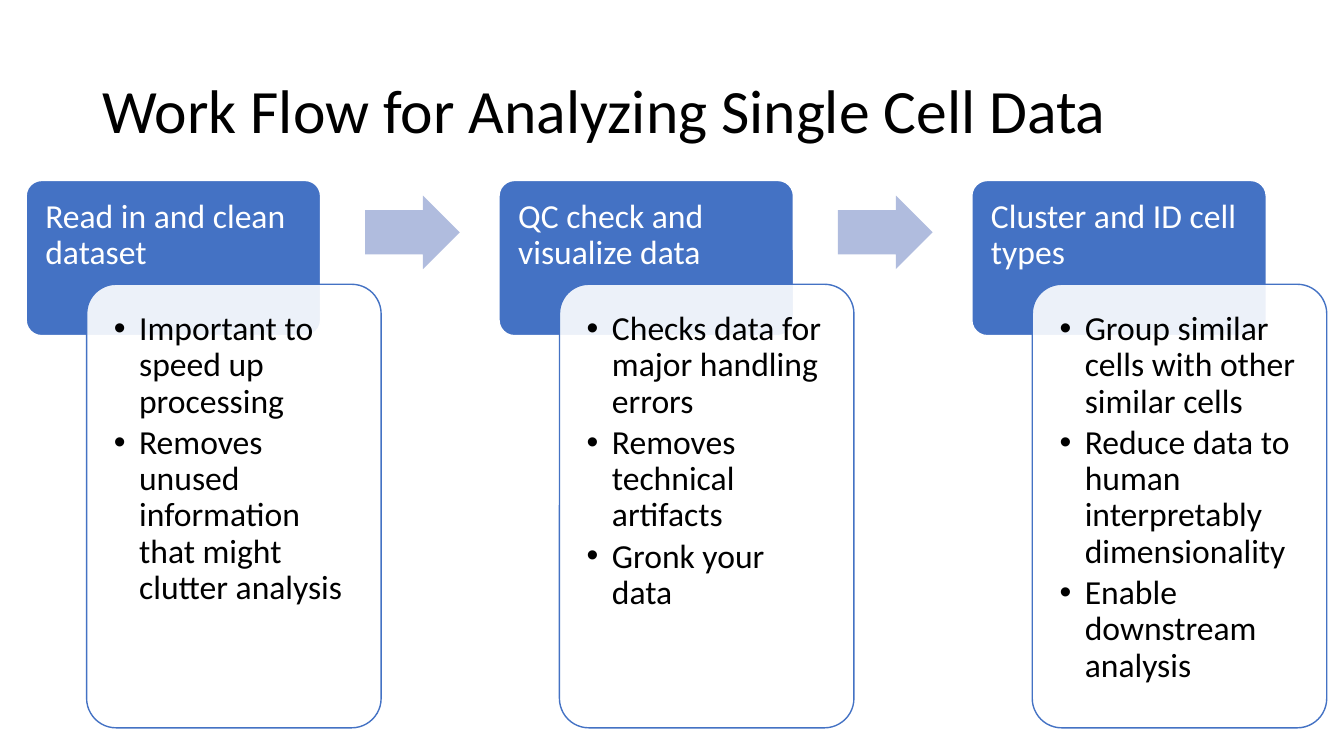
from dataclasses import dataclass, replace

from lxml import etree
from pptx import Presentation, util as u
from pptx.dml.color import RGBColor
from pptx.enum import shapes, text
from pptx.oxml import ns

COLOURS = {"black": "000000", "white": "FFFFFF", "blue": "4472C4", "arrow": "B0BCDE"}
FONT = "Calibri"
SLIDE_WIDTH, SLIDE_HEIGHT = u.Inches(13.33), u.Inches(7.5)


@dataclass(frozen=True)
class Area:
    """A rectangle in percent of the slide's width and height."""
    left: float
    top: float
    width: float
    height: float

    def in_column(self, column: int) -> "Area":
        return replace(self, left=self.left + column * COLUMN_PITCH)

    def box(self) -> tuple[int, int, int, int]:
        return (round(self.left * SLIDE_WIDTH / 100), round(self.top * SLIDE_HEIGHT / 100),
                round(self.width * SLIDE_WIDTH / 100), round(self.height * SLIDE_HEIGHT / 100))


@dataclass(frozen=True)
class Step:
    heading: str
    details: tuple[str, ...]


COLUMN_PITCH = 35.18
TITLE = Area(6.9, 5.33, 86.27, 19.33)
HEADER = Area(1.95, 23.87, 21.91, 20.53)
HEADER_TEXT = replace(HEADER, height=13.73)
CARD = Area(6.45, 37.6, 21.91, 58.67)
CARD_TEXT = Area(7.05, 38.67, 20.63, 56.4)
ARROW = Area(27.16, 25.87, 7.05, 9.73)

STEPS = (
    Step("Read in and clean dataset", (
        "Important to speed up processing",
        "Removes unused information that might clutter analysis")),
    Step("QC check and visualize data", (
        "Checks data for major handling errors",
        "Removes technical artifacts",
        "Gronk your data")),
    Step("Cluster and ID cell types", (
        "Group similar cells with other similar cells",
        "Reduce data to human interpretably dimensionality",
        "Enable downstream analysis")),
)


def colour(name: str) -> RGBColor:
    return RGBColor.from_string(COLOURS[name])


def add_bullet(paragraph) -> None:
    properties = paragraph._p.get_or_add_pPr()
    properties.set("marL", str(u.Inches(0.25)))
    properties.set("indent", str(-u.Inches(0.25)))
    etree.SubElement(properties, ns.qn("a:buFont"), typeface="Arial")
    etree.SubElement(properties, ns.qn("a:buChar"), char="•")


def add_text(slide, area: Area, *lines: str, size: float = 24, ink: str = "black",
             insets: tuple[float, float, float, float] = (0.19, 0.19, 0.19, 0.19),
             anchor=text.MSO_ANCHOR.TOP, space_after: float = 0, bullets: bool = False) -> None:
    """Insets are left, top, right and bottom, in inches."""
    frame = slide.shapes.add_textbox(*area.box()).text_frame
    frame.word_wrap = True
    frame.vertical_anchor = anchor
    (frame.margin_left, frame.margin_top,
     frame.margin_right, frame.margin_bottom) = map(u.Inches, insets)
    for index, line in enumerate(lines):
        paragraph = frame.add_paragraph() if index else frame.paragraphs[0]
        paragraph.line_spacing = 0.9
        paragraph.space_after = u.Pt(space_after)
        if bullets:
            paragraph.level = 1
            add_bullet(paragraph)
        run = paragraph.add_run()
        run.text = line
        run.font.name = FONT
        run.font.size = u.Pt(size)
        run.font.color.rgb = colour(ink)


def add_block(slide, kind, area: Area, fill: str, adjustments: tuple[float, ...],
              line: str | None = None, opacity: int = 100) -> None:
    shape = slide.shapes.add_shape(kind, *area.box())
    shape.shadow.inherit = False
    for index, value in enumerate(adjustments):
        shape.adjustments[index] = value
    shape.fill.solid()
    shape.fill.fore_color.rgb = colour(fill)
    if opacity < 100:
        fill_colour = shape._element.spPr.find(ns.qn("a:solidFill"))[0]
        etree.SubElement(fill_colour, ns.qn("a:alpha"), val=str(opacity * 1000))
    if line:
        shape.line.color.rgb = colour(line)
        shape.line.width = u.Pt(1)
    else:
        shape.line.fill.background()


def add_step(slide, column: int, step: Step) -> None:
    rounded = shapes.MSO_SHAPE.ROUNDED_RECTANGLE
    add_block(slide, rounded, HEADER.in_column(column), "blue", (0.1,), line="white")
    add_text(slide, HEADER_TEXT.in_column(column), step.heading, ink="white",
             insets=(0.19, 0.19, 0.19, 0.1), space_after=8.4)
    add_block(slide, rounded, CARD.in_column(column), "white", (0.1,), line="blue", opacity=90)
    add_text(slide, CARD_TEXT.in_column(column), *step.details, space_after=3.6, bullets=True)


def main() -> None:
    presentation = Presentation()
    presentation.slide_width, presentation.slide_height = SLIDE_WIDTH, SLIDE_HEIGHT
    slide = presentation.slides.add_slide(presentation.slide_layouts[6])
    add_text(slide, TITLE, "Work Flow for Analyzing Single Cell Data", size=44,
             insets=(0.1, 0.05, 0.1, 0.05), anchor=text.MSO_ANCHOR.MIDDLE)
    for column, step in enumerate(STEPS):
        if column:
            add_block(slide, shapes.MSO_SHAPE.RIGHT_ARROW, ARROW.in_column(column - 1),
                      "arrow", (0.6, 0.5))
        add_step(slide, column, step)
    presentation.save("out.pptx")


if __name__ == "__main__":
    main()
